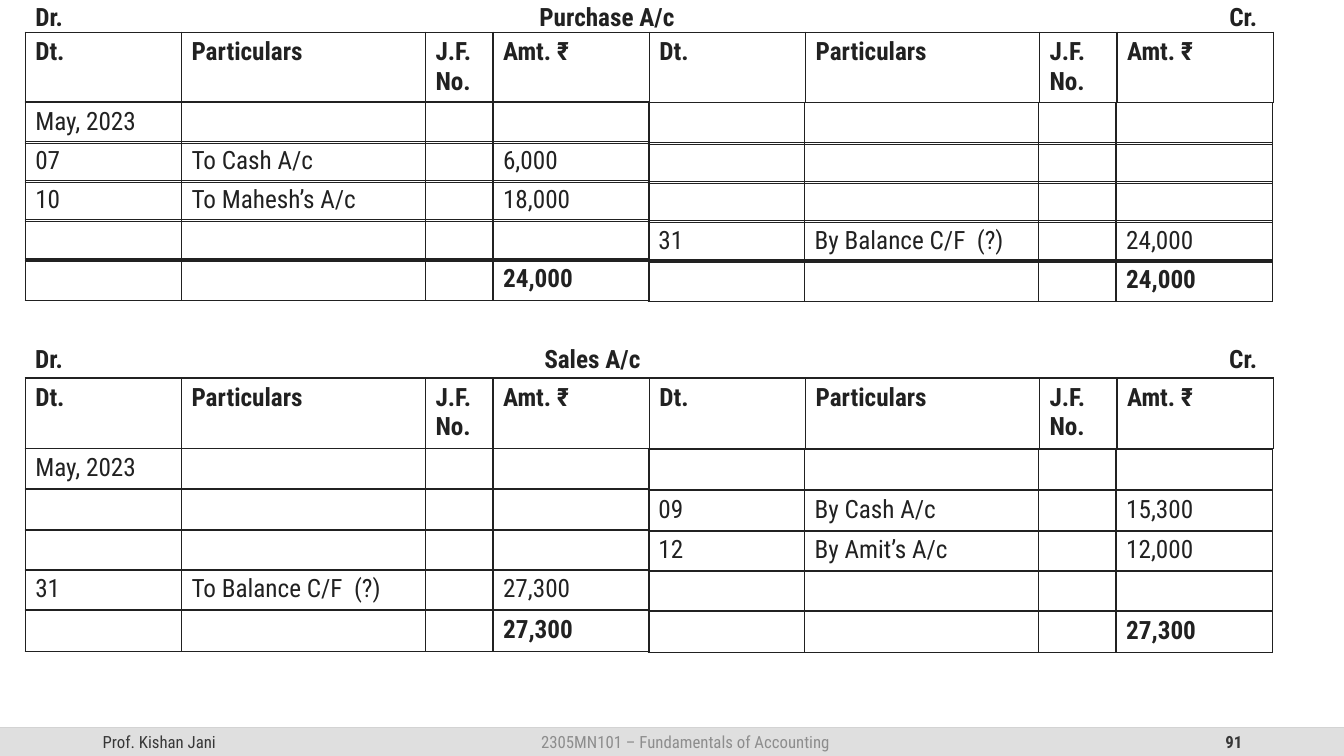
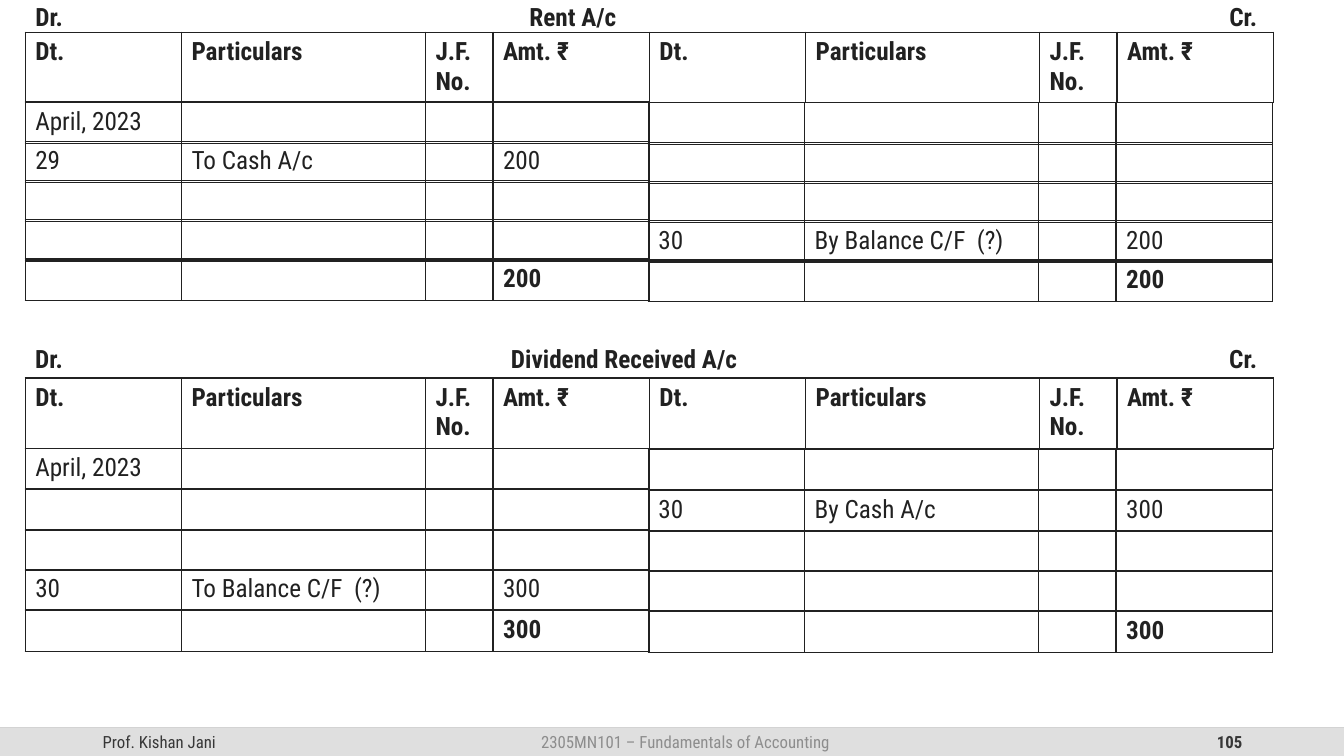
from dataclasses import dataclass

from lxml import etree
from pptx import Presentation
from pptx.dml.color import RGBColor
from pptx.enum.shapes import MSO_CONNECTOR, MSO_SHAPE
from pptx.enum.text import MSO_ANCHOR, MSO_AUTO_SIZE, PP_ALIGN
from pptx.oxml.ns import qn
from pptx.util import Inches, Pt

LEFT, CENTER, RIGHT = PP_ALIGN.LEFT, PP_ALIGN.CENTER, PP_ALIGN.RIGHT
MIDDLE, TOP = MSO_ANCHOR.MIDDLE, MSO_ANCHOR.TOP
NO_AUTO_SIZE = MSO_AUTO_SIZE.NONE
RECTANGLE, STRAIGHT = MSO_SHAPE.RECTANGLE, MSO_CONNECTOR.STRAIGHT

FONT = "Roboto Condensed"
INK, FOOTER_INK, FOOTER_MUTED = "212121", "373737", "8D8D8D"
BAND_FILL, BAND_LINE = "DFDFDF", "D2D2D2"

SLIDE_WIDTH, SLIDE_HEIGHT = 13.33, 7.5
FOOTER_TOP, FOOTER_HEIGHT = 7.22, 0.28
LEDGER_LEFT, LEDGER_WIDTH = 0.25, 12.36
DEBIT_COLUMNS = [1.55, 2.42, 0.67, 1.55]
CREDIT_COLUMNS = [1.55, 2.32, 0.77, 1.55]
CREDIT_LEFT, CREDIT_DROP = 6.43, 0.01
HEADER_HEIGHT, ROW_HEIGHT = 0.7, 0.41
HEADER = ["Dt.", "Particulars", "J.F.\nNo.", "Amt. ₹"]
CREDIT_TAB = 12.12


@dataclass
class Ledger:
    name: str
    name_tab: float
    debit: list
    credit: list


@dataclass
class Position:
    heading_top: float
    header_top: float
    rows_top: float
    row_pitch: float


UPPER = Position(-0.04, 0.32, 1.01, 0.39)
LOWER = Position(3.36, 3.75, 4.45, 0.4)
BLANK = ("", "", "")

PAGES = [
    ("91",
     Ledger("Purchase A/c", 5.0,
            [("May, 2023", "", ""), ("07", "To Cash A/c", "6,000"),
             ("10", "To Mahesh’s A/c", "18,000"), BLANK, ("", "", "24,000")],
            [BLANK, BLANK, BLANK, ("31", "By Balance C/F  (?)", "24,000"),
             ("", "", "24,000")]),
     Ledger("Sales A/c", 5.05,
            [("May, 2023", "", ""), BLANK, BLANK,
             ("31", "To Balance C/F  (?)", "27,300"), ("", "", "27,300")],
            [BLANK, ("09", "By Cash A/c", "15,300"),
             ("12", "By Amit’s A/c", "12,000"), BLANK, ("", "", "27,300")])),
    ("105",
     Ledger("Rent A/c", 4.9,
            [("April, 2023", "", ""), ("29", "To Cash A/c", "200"),
             BLANK, BLANK, ("", "", "200")],
            [BLANK, BLANK, BLANK, ("30", "By Balance C/F  (?)", "200"),
             ("", "", "200")]),
     Ledger("Dividend Received A/c", 4.72,
            [("April, 2023", "", ""), BLANK, BLANK,
             ("30", "To Balance C/F  (?)", "300"), ("", "", "300")],
            [BLANK, ("30", "By Cash A/c", "300"), BLANK, BLANK,
             ("", "", "300")])),
]


def color(value):
    return RGBColor.from_string(value)


def add_run(paragraph, text, size=18, ink=INK, bold=False):
    run = paragraph.add_run()
    run.text = text
    run.font.name = FONT
    run.font.size = Pt(size)
    run.font.bold = bold
    run.font.color.rgb = color(ink)


def set_borders(cell):
    properties = cell._tc.get_or_add_tcPr()
    for index, side in enumerate(("a:lnL", "a:lnR", "a:lnT", "a:lnB")):
        border = etree.Element(qn(side), w=str(Pt(1)))
        fill = etree.SubElement(border, qn("a:solidFill"))
        etree.SubElement(fill, qn("a:srgbClr"), val=INK)
        properties.insert(index, border)


def fill_cell(cell, text, bold):
    cell.fill.background()
    set_borders(cell)
    for index, line in enumerate(text.split("\n") if text else []):
        frame = cell.text_frame
        paragraph = frame.add_paragraph() if index else frame.paragraphs[0]
        add_run(paragraph, line, bold=bold)


def add_strip(slide, left, top, height, widths, texts, bold=False):
    table = slide.shapes.add_table(
        1, len(widths), Inches(left), Inches(top),
        Inches(sum(widths)), Inches(height)).table
    table.first_row = table.horz_banding = False
    table.rows[0].height = Inches(height)
    for column, width, cell, text in zip(
            table.columns, widths, table.rows[0].cells, texts):
        column.width = Inches(width)
        fill_cell(cell, text, bold)


def add_side(slide, left, top, pitch, widths, entries):
    for index, (date, particulars, amount) in enumerate(entries):
        is_total = index == len(entries) - 1
        add_strip(slide, left, top + index * pitch, ROW_HEIGHT, widths,
                  [date, particulars, "", amount], is_total)


def write_heading(shape, ledger, top):
    shape.left, shape.top = Inches(LEDGER_LEFT), Inches(top)
    shape.width, shape.height = Inches(LEDGER_WIDTH), Inches(0.4)
    frame = shape.text_frame
    frame.word_wrap = True
    frame.auto_size = NO_AUTO_SIZE
    frame.vertical_anchor = TOP
    paragraph = frame.paragraphs[0]
    paragraph.alignment = LEFT
    tabs = etree.SubElement(paragraph._p.get_or_add_pPr(), qn("a:tabLst"))
    for position, alignment in ((ledger.name_tab, "l"), (CREDIT_TAB, "r")):
        etree.SubElement(tabs, qn("a:tab"), pos=str(Inches(position)), algn=alignment)
    for text in ("Dr.", f"\t{ledger.name}", "\tCr."):
        add_run(paragraph, text, bold=True)


def add_ledger(slide, ledger, position, heading):
    add_strip(slide, LEDGER_LEFT, position.header_top, HEADER_HEIGHT,
              DEBIT_COLUMNS + CREDIT_COLUMNS, HEADER * 2, True)
    write_heading(heading, ledger, position.heading_top)
    add_side(slide, LEDGER_LEFT, position.rows_top, position.row_pitch,
             DEBIT_COLUMNS, ledger.debit)
    add_side(slide, CREDIT_LEFT, position.rows_top + CREDIT_DROP,
             position.row_pitch, CREDIT_COLUMNS, ledger.credit)


def add_footer_text(slide, left, width, text, alignment, ink, bold=False):
    shape = slide.shapes.add_textbox(
        Inches(left), Inches(FOOTER_TOP), Inches(width), Inches(FOOTER_HEIGHT))
    frame = shape.text_frame
    frame.word_wrap = True
    frame.vertical_anchor = MIDDLE
    paragraph = frame.paragraphs[0]
    paragraph.alignment = alignment
    add_run(paragraph, text, 12, ink, bold)
    return shape


def add_footer_line(slide):
    line = slide.shapes.add_connector(
        STRAIGHT, 0, Inches(FOOTER_TOP), Inches(SLIDE_WIDTH), Inches(FOOTER_TOP))
    line.line.color.rgb = color(BAND_LINE)
    line.line.width = Pt(1)
    etree.SubElement(line._element.spPr, qn("a:effectLst"))
    return line


def add_footer_band(slide):
    band = slide.shapes.add_shape(
        RECTANGLE, 0, Inches(FOOTER_TOP), Inches(SLIDE_WIDTH), Inches(FOOTER_HEIGHT))
    band.shadow.inherit = False
    band.fill.solid()
    band.fill.fore_color.rgb = color(BAND_FILL)
    band.line.fill.background()
    return band


def move_footer_to_layout(slide, layout):
    footer = [
        add_footer_line(slide),
        add_footer_band(slide),
        add_footer_text(slide, 0.92, 3, "Prof. Kishan Jani", LEFT, FOOTER_INK),
        add_footer_text(slide, 4.18, 5.24, "2305MN101 – Fundamentals of Accounting",
                        CENTER, FOOTER_MUTED),
    ]
    for shape in footer:
        layout.shapes.element.append(shape.element)


def main():
    presentation = Presentation()
    presentation.slide_width = Inches(SLIDE_WIDTH)
    presentation.slide_height = Inches(SLIDE_HEIGHT)
    layout = presentation.slide_layouts.get_by_name("Title Only")
    for number, upper, lower in PAGES:
        slide = presentation.slides.add_slide(layout)
        add_ledger(slide, upper, UPPER, slide.shapes.title)
        add_ledger(slide, lower, LOWER, slide.shapes.add_textbox(0, 0, 0, 0))
        add_footer_text(slide, 9.42, 3, number, RIGHT, FOOTER_INK, True)
    move_footer_to_layout(presentation.slides[0], layout)
    presentation.save("out.pptx")


if __name__ == "__main__":
    main()
